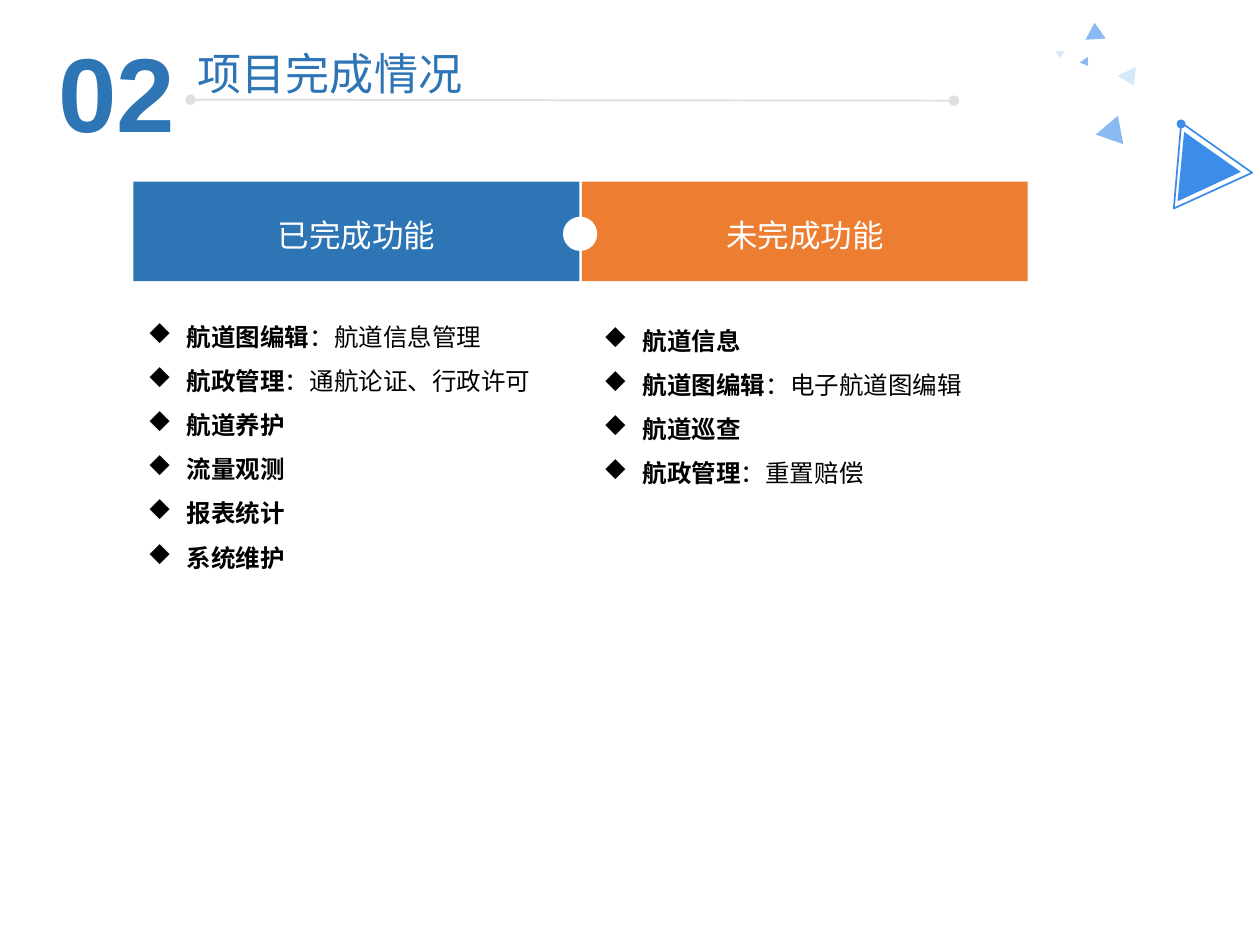
from pptx import Presentation
from pptx.dml.color import RGBColor
from pptx.enum import shapes, text
from pptx.oxml.ns import qn
from pptx.util import Cm, Pt
from lxml import etree

HUES = {"blue": "2E75B6", "orange": "ED7D31", "white": "FFFFFF", "black": "000000",
        "gray": "DFDFDF", "pale": "D8E8FB", "sky": "89BBF2", "bright": "3B8DE9"}
SANS = "Noto Sans CJK SC"
KIND = shapes.MSO_SHAPE
ALIGN = text.PP_ALIGN


def style(run, size, hue, face=SANS, bold=False):
    font = run.font
    font.size, font.name, font.bold = Pt(size), face, bold
    font.color.rgb = RGBColor.from_string(HUES[hue])
    etree.SubElement(font._element, qn("a:ea"), typeface=SANS)


def draw(kind, box, fill=None, line=None, turn=0):
    """Add a flat preset shape; box is left, top, width, height in cm."""
    shape = slide.shapes.add_shape(kind, *map(Cm, box))
    shape.shadow.inherit = False
    shape.rotation = turn
    for part, hue in ((shape.fill, fill), (shape.line.fill, line)):
        if hue:
            part.solid()
            part.fore_color.rgb = RGBColor.from_string(HUES[hue])
        else:
            part.background()
    if line:
        shape.line.width = Pt(1)
    return shape


deck = Presentation()
deck.slide_width, deck.slide_height = Cm(25.4), Cm(19.05)
slide = deck.slides.add_slide(deck.slide_layouts[3])
title, left, right = slide.placeholders

# Heading: number, title and rule
num = slide.shapes.add_textbox(Cm(0.56), Cm(0.43), Cm(3.58), Cm(2.79))
num.text_frame.word_wrap = True
num.text_frame.text = "02"
para = num.text_frame.paragraphs[0]
para.alignment = ALIGN.CENTER
style(para.runs[0], 60, "blue", "Arial", True)

title.left, title.top, title.width, title.height = map(Cm, (3.73, 0.76, 8.2, 1.37))
frame = title.text_frame
frame.text = "项目完成情况"
frame.auto_size = text.MSO_AUTO_SIZE.NONE
frame.vertical_anchor = text.MSO_ANCHOR.BOTTOM
frame.paragraphs[0].alignment = ALIGN.LEFT
style(frame.paragraphs[0].runs[0], 25.2, "blue")

rule = slide.shapes.add_connector(shapes.MSO_CONNECTOR.STRAIGHT,
                                  Cm(3.84), Cm(2.01), Cm(19.23), Cm(2.03))
rule.line.color.rgb = RGBColor.from_string(HUES["gray"])
rule.line.width = Pt(1)
for end in ("headEnd", "tailEnd"):
    etree.SubElement(rule.line._get_or_add_ln(), qn("a:" + end), type="oval")
etree.SubElement(rule._element.spPr, qn("a:effectLst"))

# Corner ornament
for box, turn, fill, line in (
    ((22.58, 1.42, 0.41, 0.33), 153.9, "pale", None),
    ((22.05, 2.41, 0.58, 0.51), 259.5, "sky", None),
    ((21.87, 0.46, 0.41, 0.33), 356.2, "sky", None),
    ((23.39, 2.95, 1.4, 1.22), 215.2, "bright", None),
    ((23.22, 2.84, 1.75, 1.5), 215.2, None, "bright"),
    ((21.26, 0.99, 0.18, 0.15), 303.5, "pale", None),
    ((21.79, 1.19, 0.2, 0.15), 145.8, "sky", None),
):
    draw(KIND.ISOSCELES_TRIANGLE, box, fill, line, turn)
draw(KIND.OVAL, (23.72, 2.41, 0.18, 0.18), "bright")

# Column banners
for x, hue, label in ((2.69, "blue", "已完成功能"), (11.73, "orange", "未完成功能")):
    frame = draw(KIND.RECTANGLE, (x, 3.66, 8.99, 2.01), hue).text_frame
    frame.text = label
    frame.vertical_anchor = text.MSO_ANCHOR.MIDDLE
    para = frame.paragraphs[0]
    para.alignment, para.line_spacing = ALIGN.CENTER, 1.2
    style(para.runs[0], 18, "white", "Calibri")
draw(KIND.OVAL, (11.35, 4.37, 0.69, 0.69), "white")

# Lists: bold name, then optional plain detail
done = (("航道图编辑", "：航道信息管理"), ("航政管理", "：通航论证、行政许可"),
        ("航道养护",), ("流量观测",), ("报表统计",), ("系统维护",))
todo = (("航道信息",), ("航道图编辑", "：电子航道图编辑"),
        ("航道巡查",), ("航政管理", "：重置赔偿"))
for body, box, items in ((left, (2.72, 6.07, 8.59, 11.73), done),
                         (right, (11.91, 6.15, 9.12, 6.86), todo)):
    body.left, body.top, body.width, body.height = map(Cm, box)
    frame = body.text_frame
    frame.auto_size = text.MSO_AUTO_SIZE.NONE
    frame.text = "\n".join(item[0] for item in items)
    for para, item in zip(frame.paragraphs, items):
        for detail in item[1:]:
            para.add_run().text = detail
        for i, run in enumerate(para.runs):
            style(run, 14, "black", bold=i == 0)
        para.alignment, para.line_spacing = ALIGN.JUSTIFY, 1.5
        para.space_before = Pt(0)
        props = para._p.get_or_add_pPr()
        props.set("marL", str(Cm(0.79)))
        props.set("indent", str(-Cm(0.79)))
        # "u" is the diamond in Wingdings
        etree.SubElement(props, qn("a:buFont"), typeface="Wingdings", charset="2")
        etree.SubElement(props, qn("a:buChar"), char="u")

deck.save("out.pptx")
